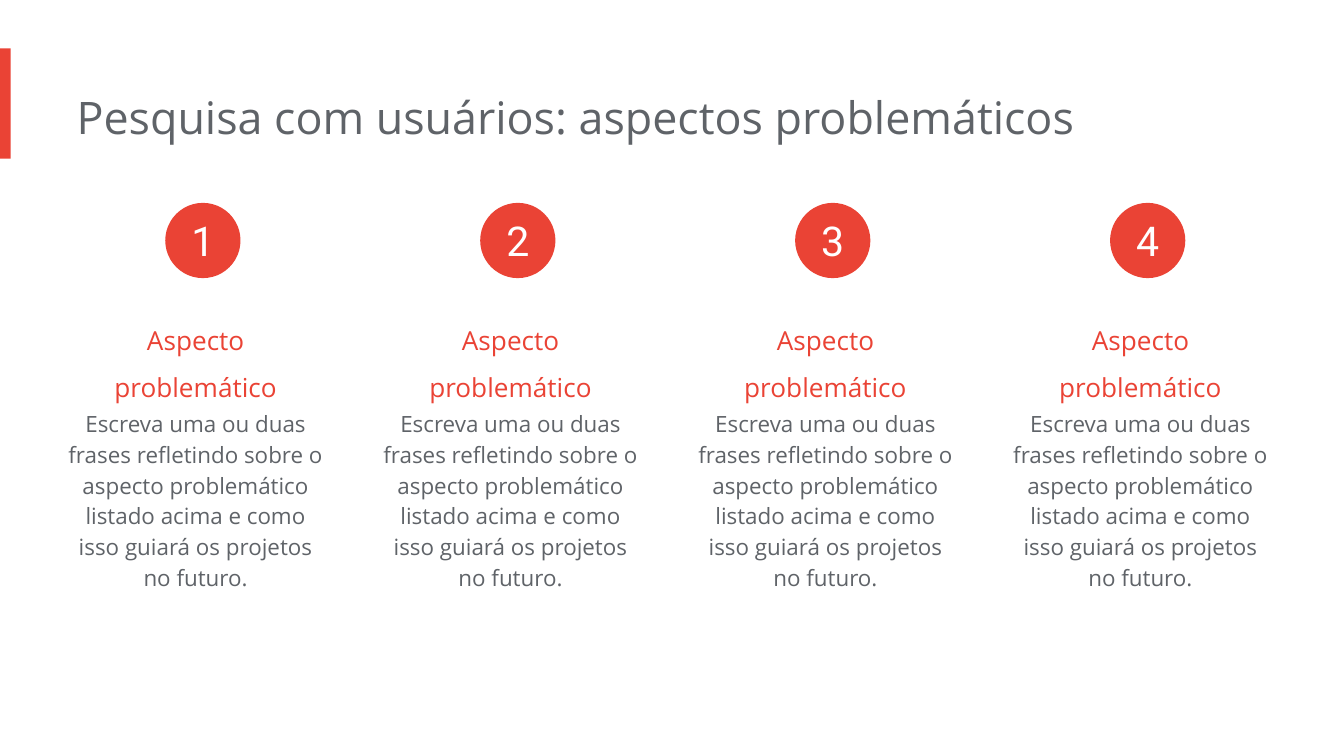
from pptx import Presentation
from pptx.dml.color import RGBColor
from pptx.enum.shapes import MSO_SHAPE as SHAPE
from pptx.enum.text import MSO_ANCHOR as ANCHOR, MSO_AUTO_SIZE as AUTO, PP_ALIGN as ALIGN
from pptx.util import Inches, Pt

RED, GRAY, WHITE = "EA4335", "5F6368", "FFFFFF"
HEADING = "Aspecto problemático"
BODY = ("Escreva uma ou duas frases refletindo sobre o aspecto problemático "
        "listado acima e como isso guiará os projetos no futuro.")
COLUMNS, FIRST_LEFT, LAST_LEFT = 4, 0.48, 7.51
STEP = (LAST_LEFT - FIRST_LEFT) / (COLUMNS - 1)


def color(hex_code):
    return RGBColor.from_string(hex_code)


def write(tf, text, size, hex_code, font="Open Sans", align=ALIGN.CENTER, spacing=1.0):
    p = tf.paragraphs[0]
    p.text = text
    p.alignment = align
    p.line_spacing = spacing
    p.font.size = Pt(size)
    p.font.name = font
    p.font.color.rgb = color(hex_code)


def set_frame(tf, inset, anchor):
    tf.word_wrap = True
    tf.vertical_anchor = anchor
    tf.margin_left = 0
    tf.margin_top = tf.margin_right = tf.margin_bottom = Inches(inset)


def add_title(s, text):
    sp = s.shapes.title
    sp.left, sp.top, sp.width, sp.height = map(Inches, (0.57, 0.57, 7.69, 0.61))
    set_frame(sp.text_frame, 0.1, ANCHOR.TOP)
    sp.text_frame.auto_size = AUTO.SHAPE_TO_FIT_TEXT
    write(sp.text_frame, text, 24, GRAY, align=ALIGN.LEFT)


def add_text(s, left, top, height, text, size, hex_code, spacing):
    sp = s.shapes.add_textbox(Inches(left), Inches(top), Inches(2.05), Inches(height))
    set_frame(sp.text_frame, 0.1, ANCHOR.TOP)
    sp.text_frame.auto_size = AUTO.SHAPE_TO_FIT_TEXT
    write(sp.text_frame, text, size, hex_code, spacing=spacing)


def add_red_shape(s, kind, left, top, width, height):
    sp = s.shapes.add_shape(kind, Inches(left), Inches(top), Inches(width), Inches(height))
    sp.shadow.inherit = False
    sp.fill.solid()
    sp.fill.fore_color.rgb = color(RED)
    sp.line.fill.background()
    return sp


def add_badge(s, left, number):
    sp = add_red_shape(s, SHAPE.OVAL, left, 1.51, 0.56, 0.56)
    set_frame(sp.text_frame, 0, ANCHOR.MIDDLE)
    write(sp.text_frame, str(number), 22, WHITE, font="Roboto")


def main():
    prs = Presentation()
    prs.slide_width, prs.slide_height = Inches(10), Inches(10 * 9 / 16)
    s = prs.slides.add_slide(prs.slide_layouts[5])
    add_red_shape(s, SHAPE.RECTANGLE, 0, 0.36, 0.08, 0.82)
    add_title(s, "Pesquisa com usuários: aspectos problemáticos")
    for i in range(COLUMNS):
        left = FIRST_LEFT + i * STEP
        add_text(s, left, 2.2, 0.44, HEADING, 14, RED, 1.5)
        add_text(s, left, 2.92, 1.45, BODY, 12, GRAY, 1.15)
        add_badge(s, left + 0.75, i + 1)
    prs.save("out.pptx")


if __name__ == "__main__":
    main()
